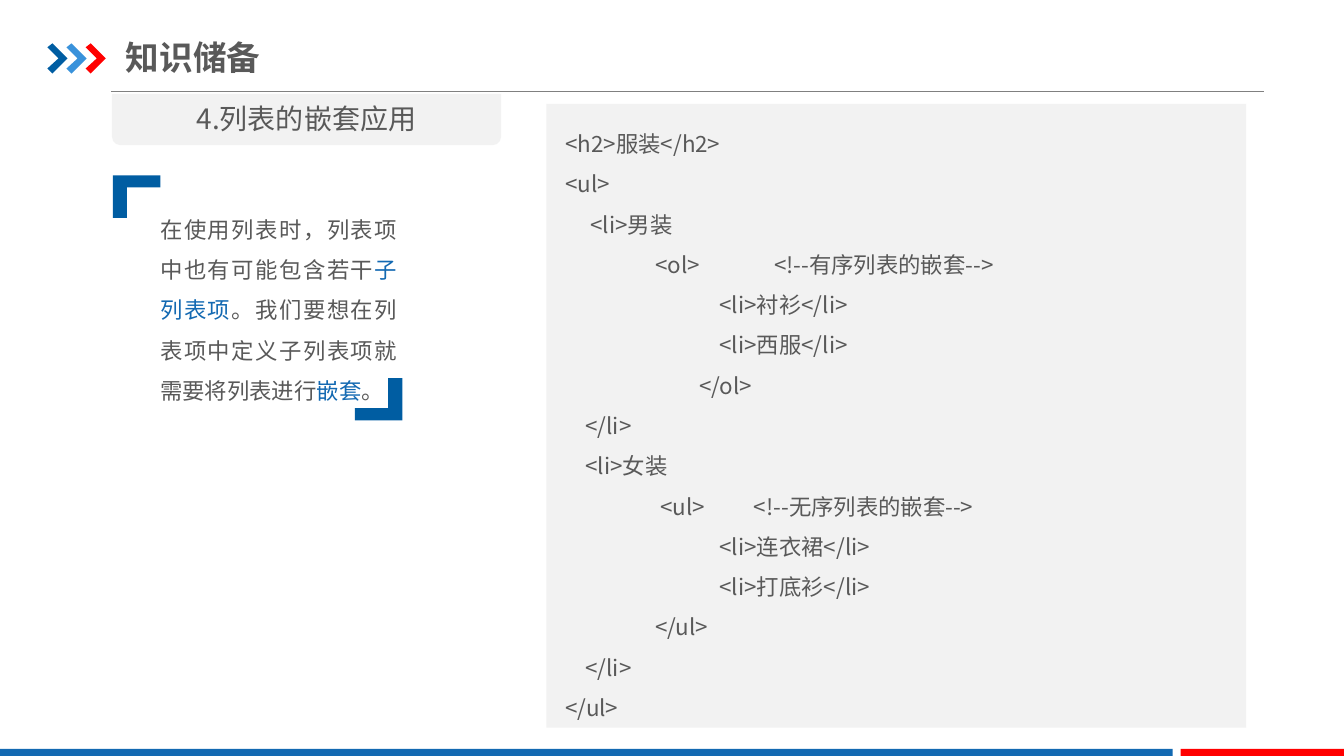
from lxml import etree
from pptx import Presentation
from pptx.dml.color import RGBColor
from pptx.enum.shapes import MSO_CONNECTOR, MSO_SHAPE
from pptx.enum.text import MSO_ANCHOR, MSO_AUTO_SIZE, PP_ALIGN
from pptx.oxml.ns import qn
from pptx.util import Inches, Pt

RECT, ROUNDED = MSO_SHAPE.RECTANGLE, MSO_SHAPE.ROUND_2_SAME_RECTANGLE
LEFT, CENTER, JUSTIFY = PP_ALIGN.LEFT, PP_ALIGN.CENTER, PP_ALIGN.JUSTIFY
TOP, MIDDLE = MSO_ANCHOR.TOP, MSO_ANCHOR.MIDDLE
FIT, NO_FIT = MSO_AUTO_SIZE.SHAPE_TO_FIT_TEXT, MSO_AUTO_SIZE.NONE

# Content
FONT = "Noto Sans CJK SC"
COLORS = {"text": "595959", "accent": "1369B2", "deep": "005DA2", "light": "3992DB",
          "red": "FF0000", "panel": "F2F2F2", "rule": "808080"}
TITLE = "知识储备"
SECTION = "4.列表的嵌套应用"
EXPLANATION = [
    ("在使用列表时，列表项中也有可能包含若干", "text"),
    ("子列表项", "accent"),
    ("。我们要想在列表项中定义子列表项就需要将列表进行", "text"),
    ("嵌套", "accent"),
    ("。", "text"),
]
# Each code line with the tab stop it uses, in inches
NESTED_TAB = 1.33
CODE = [
    ("<h2>服装</h2>", None),
    ("<ul>", None),
    ("     <li>男装", None),
    ("                  <ol>\t<!--有序列表的嵌套-->", 2.07),
    ("\t    <li>衬衫</li>", NESTED_TAB),
    ("\t    <li>西服</li>", NESTED_TAB),
    ("\t</ol>", NESTED_TAB),
    ("    </li>", None),
    ("    <li>女装", None),
    ("                   <ul>\t<!--无序列表的嵌套-->", 1.87),
    ("\t    <li>连衣裙</li>", NESTED_TAB),
    ("\t    <li>打底衫</li>", NESTED_TAB),
    ("                  </ul>", None),
    ("    </li>", None),
    ("</ul>", None),
]
CHEVRON = [(0, 0.04), (0.05, 0), (0.2, 0.15), (0.05, 0.3), (0, 0.25), (0.11, 0.15)]
CHEVRON_COLORS = ["deep", "light", "red"]
BRACKET = [(0, 0), (0.47, 0), (0.47, 0.12), (0.14, 0.12), (0.14, 0.42), (0, 0.42)]
FOOTER_BARS = [(0, 11.63, "accent"), (11.71, 1.63, "red")]

prs = Presentation()
prs.slide_width, prs.slide_height = Inches(13.33), Inches(7.5)
slide = prs.slides.add_slide(prs.slide_layouts[6])
shapes = slide.shapes


def rgb(name):
    return RGBColor.from_string(COLORS[name])


def paint(shape, color):
    shape.shadow.inherit = False
    shape.fill.solid()
    shape.fill.fore_color.rgb = rgb(color)
    shape.line.fill.background()
    return shape


def add_block(kind, box, color):
    return paint(shapes.add_shape(kind, *map(Inches, box)), color)


def add_outline(points, left, top, color, turn=1):
    corners = [(Inches(left + turn * x), Inches(top + turn * y)) for x, y in points]
    builder = shapes.build_freeform(*corners[0])
    builder.add_line_segments(corners[1:], close=True)
    paint(builder.convert_to_shape(), color)


def add_text(box, paragraphs, size, bold=False, align=LEFT, spacing=None,
             margins=(0.1, 0.05), anchor=TOP, fit=FIT):
    """Each paragraph is a pair: its (text, color) runs and an optional tab stop."""
    frame = shapes.add_textbox(*map(Inches, box)).text_frame
    side, edge = map(Inches, margins)
    settings = {"word_wrap": True, "auto_size": fit, "vertical_anchor": anchor,
                "margin_left": side, "margin_right": side,
                "margin_top": edge, "margin_bottom": edge}
    for key, value in settings.items():
        setattr(frame, key, value)
    for index, (runs, tab) in enumerate(paragraphs):
        paragraph = frame.add_paragraph() if index else frame.paragraphs[0]
        if tab:
            stops = etree.SubElement(paragraph._p.get_or_add_pPr(), qn("a:tabLst"))
            etree.SubElement(stops, qn("a:tab"), pos=str(Inches(tab)), algn="l")
        paragraph.alignment = align
        paragraph.line_spacing = spacing
        for text, color in runs:
            run = paragraph.add_run()
            run.text = text
            for key, value in {"name": FONT, "size": Pt(size), "bold": bold}.items():
                setattr(run.font, key, value)
            run.font.color.rgb = rgb(color)
            etree.SubElement(run._r.get_or_add_rPr(), qn("a:ea"), typeface=FONT)


# Header rule, chevrons and title
rule = shapes.add_connector(MSO_CONNECTOR.STRAIGHT, Inches(1.1), Inches(0.91),
                            Inches(12.54), Inches(0.91))
rule.line.color.rgb = rgb("rule")
rule.line.width = Pt(0.75)
etree.SubElement(rule._element.spPr, qn("a:effectLst"))
for position, color in enumerate(CHEVRON_COLORS):
    add_outline(CHEVRON, 0.47 + 0.19 * position, 0.43, color)
add_text((1.25, 0.29, 4.26, 0.55), [([(TITLE, "text")], None)], 24, bold=True,
         margins=(0, 0.07), anchor=MIDDLE, fit=NO_FIT)

# Footer bars
for left, width, color in FOOTER_BARS:
    add_block(RECT, (left, 7.43, width, 0.09), color)

# Section tab
add_block(ROUNDED, (1.11, 0.93, 3.86, 0.51), "panel").rotation = 180
add_text((1.11, 0.96, 3.86, 0.44), [([(SECTION, "text")], None)], 20, align=CENTER)

# Explanation between corner brackets
add_text((1.59, 2.01, 2.35, 1.97), [(EXPLANATION, None)], 16, align=JUSTIFY,
         spacing=1.5, margins=(0, 0))
add_outline(BRACKET, 1.12, 1.74, "deep")
add_outline(BRACKET, 3.99, 4.17, "deep", turn=-1)

# Code panel
add_block(RECT, (5.42, 1.03, 6.94, 6.19), "panel")
add_text((5.51, 1.11, 5.34, 6.1), [([(line, "text")], tab) for line, tab in CODE], 16,
         spacing=1.5)

prs.save("out.pptx")
